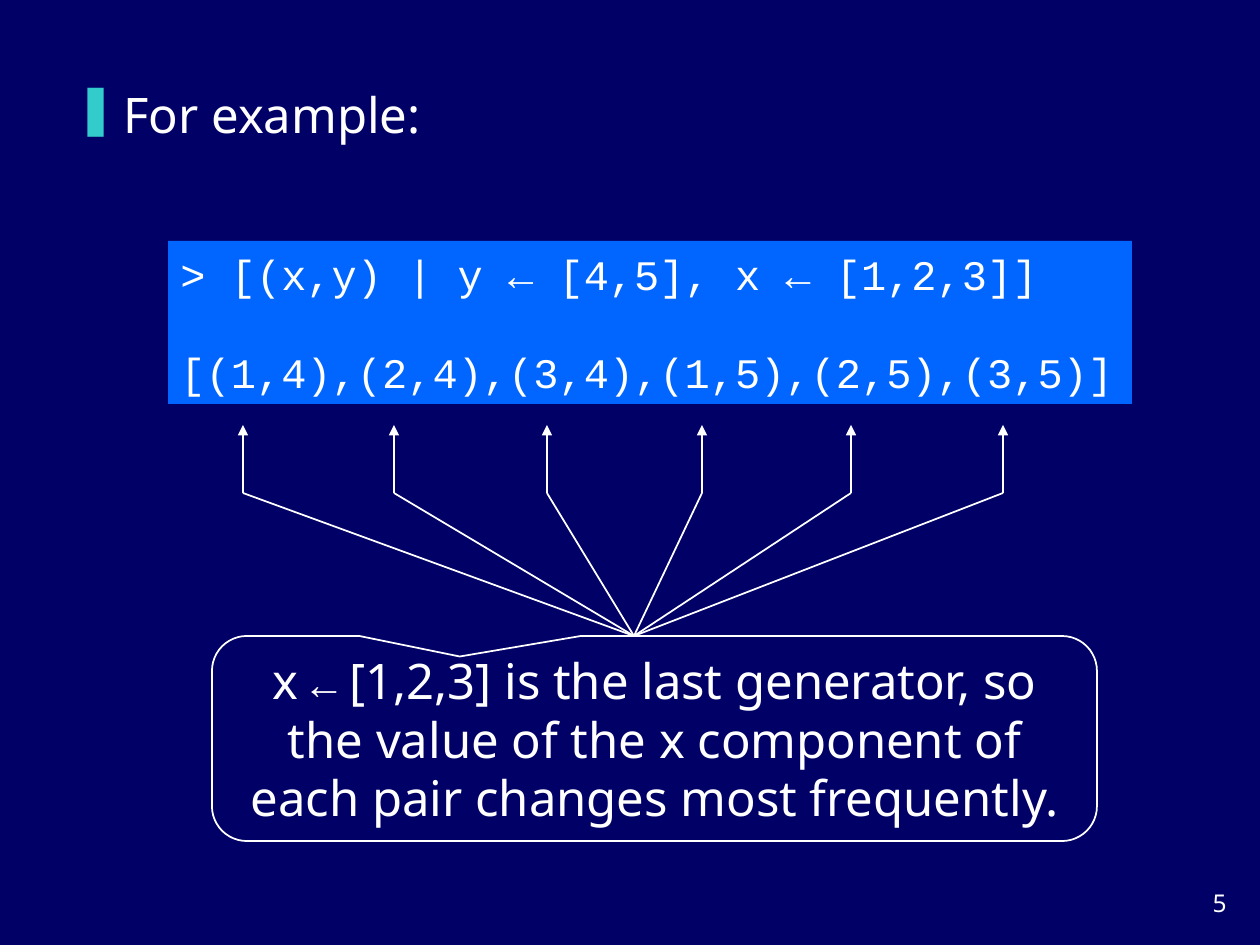
from lxml import etree
from pptx import Presentation
from pptx.dml.color import RGBColor
from pptx.enum.shapes import MSO_CONNECTOR, MSO_SHAPE
from pptx.enum.text import MSO_ANCHOR, MSO_AUTO_SIZE, PP_ALIGN
from pptx.oxml.ns import qn
from pptx.util import Emu, Pt

STRAIGHT = MSO_CONNECTOR.STRAIGHT
RECTANGLE = MSO_SHAPE.RECTANGLE
CALLOUT = MSO_SHAPE.ROUNDED_RECTANGULAR_CALLOUT
LEFT, CENTER, RIGHT = PP_ALIGN.LEFT, PP_ALIGN.CENTER, PP_ALIGN.RIGHT
TOP, MIDDLE = MSO_ANCHOR.TOP, MSO_ANCHOR.MIDDLE
NO_RESIZE = MSO_AUTO_SIZE.NONE
SCALE = 914400 / 126
WHITE = "FFFFFF"
SANS, MONO = "Noto Sans", "Courier New"


def px(length):
    return Emu(round(length * SCALE))


def color(value):
    return RGBColor.from_string(value)


def set_font(font, name, size):
    font.name = name
    font.size = Pt(size)
    font.color.rgb = color(WHITE)


def set_frame(frame, anchor, wrap=True):
    frame.word_wrap = wrap
    frame.auto_size = NO_RESIZE
    frame.vertical_anchor = anchor


def add_bullet(para, character, bullet_color, indent):
    properties = para._p.get_or_add_pPr()
    properties.set("marL", str(px(indent)))
    properties.set("indent", str(-px(indent)))
    fill = etree.SubElement(properties, qn("a:buClr"))
    etree.SubElement(fill, qn("a:srgbClr"), val=bullet_color)
    etree.SubElement(properties, qn("a:buChar"), char=character)


def place_title(page, text, left, top, width, height):
    title = page.shapes.title
    title.left, title.top = px(left), px(top)
    title.width, title.height = px(width), px(height)
    set_frame(title.text_frame, TOP)
    para = title.text_frame.paragraphs[0]
    para.text = text
    para.alignment = LEFT
    set_font(para.font, SANS, 28)
    add_bullet(para, "❚", "33CCCC", 48)


def add_page_number(page, number, left, top, width, height):
    box = page.shapes.add_textbox(px(left), px(top), px(width), px(height))
    set_frame(box.text_frame, TOP)
    para = box.text_frame.paragraphs[0]
    para.text = number
    para.alignment = RIGHT
    set_font(para.font, SANS, 14)


def add_code(page, lines, left, top, width, height):
    box = page.shapes.add_shape(RECTANGLE, px(left), px(top), px(width), px(height))
    box.shadow.inherit = False
    box.fill.solid()
    box.fill.fore_color.rgb = color("0066FF")
    box.line.fill.background()
    frame = box.text_frame
    set_frame(frame, MIDDLE, wrap=False)
    frame.text = "\n".join(lines)
    for para in frame.paragraphs:
        para.alignment = LEFT
        set_font(para.font, MONO, 24)
    for para in frame.paragraphs[1:]:
        para.space_before = Pt(27)


def add_callout(page, spans, left, top, width, height):
    box = page.shapes.add_shape(CALLOUT, px(left), px(top), px(width), px(height))
    box.shadow.inherit = False
    for index, value in enumerate((-0.22, -0.4, 0.17)):
        box.adjustments[index] = value
    box.fill.background()
    box.line.color.rgb = color(WHITE)
    box.line.width = Pt(1)
    set_frame(box.text_frame, MIDDLE)
    para = box.text_frame.paragraphs[0]
    para.alignment = CENTER
    for text, name, size in spans:
        span = para.add_run()
        span.text = text
        set_font(span.font, name, size)


def add_line(page, start, end, arrow=False):
    line = page.shapes.add_connector(STRAIGHT, *map(px, start + end))
    line.line.color.rgb = color(WHITE)
    line.line.width = Pt(1)
    if arrow:
        etree.SubElement(line.line._get_or_add_ln(), qn("a:tailEnd"), type="triangle")
    etree.SubElement(line._element.spPr, qn("a:effectLst"))


def main():
    deck = Presentation()
    deck.slide_width, deck.slide_height = px(1260), px(945)
    page = deck.slides.add_slide(deck.slide_layouts[5])
    page.background.fill.solid()
    page.background.fill.fore_color.rgb = color("000066")

    place_title(page, "For example:", 63, 78, 392, 82)
    add_page_number(page, "5", 1155, 882, 84, 42)
    code = ("> [(x,y) | y ← [4,5], x ← [1,2,3]]",
            "[(1,4),(2,4),(3,4),(1,5),(2,5),(3,5)]")
    add_code(page, code, 168, 241, 964, 163)
    explanation = (
        ("x ", SANS, 28),
        ("←", MONO, 24),
        (" [1,2,3] is the last generator, so the value of the x component "
         "of each pair changes most frequently.", SANS, 28),
    )
    add_callout(page, explanation, 212, 636, 885, 205)

    hub = (634, 636)
    for pair_x in (243, 394, 547, 702, 851, 1003):
        bend = (pair_x, 493)
        add_line(page, bend, (pair_x, 425), arrow=True)
        add_line(page, hub, bend)

    deck.save("out.pptx")


main()
